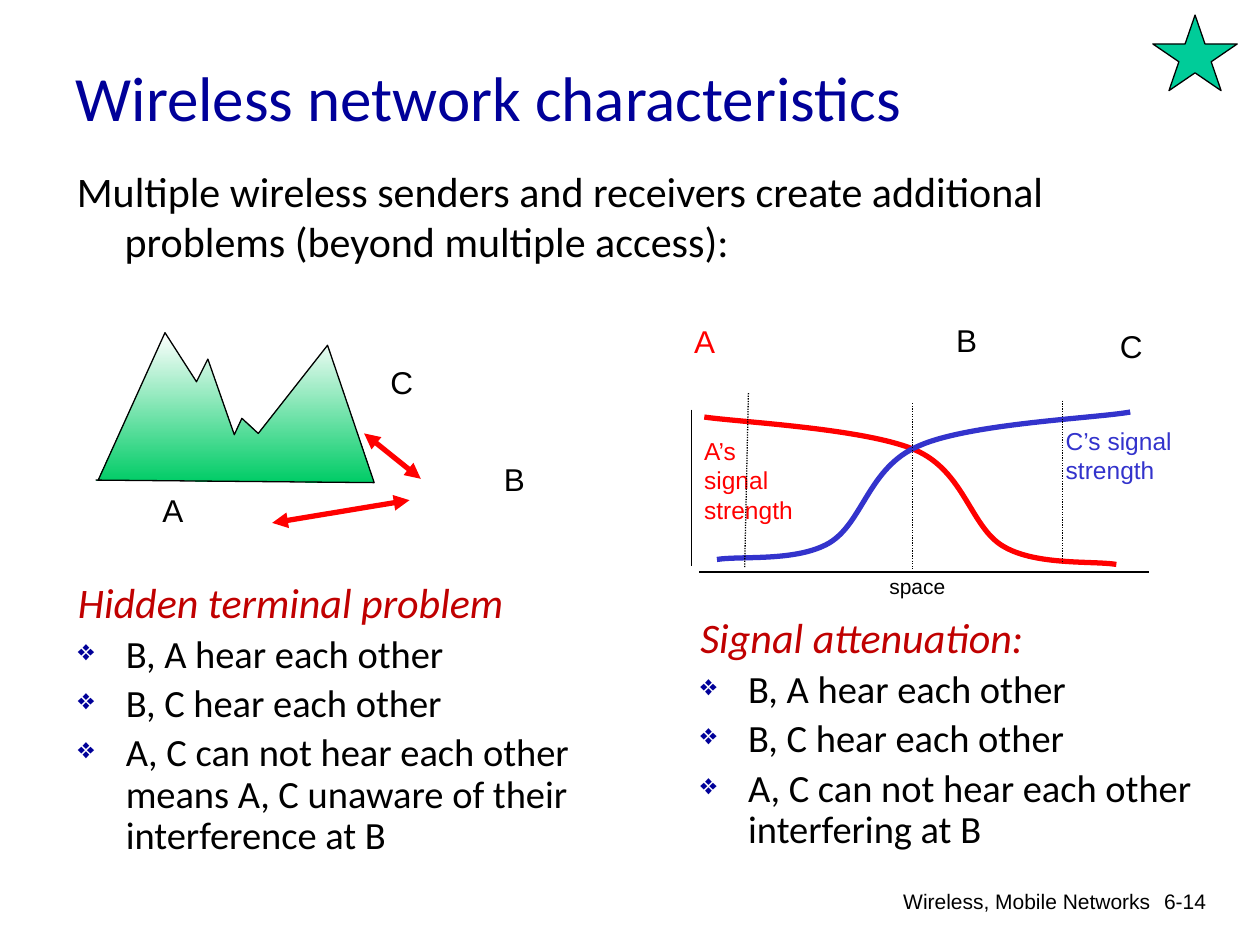
from dataclasses import dataclass

from lxml import etree
from pptx import Presentation
from pptx import util as u
from pptx.dml.color import RGBColor
from pptx.enum import dml, shapes, text
from pptx.oxml.ns import qn


@dataclass(frozen=True)
class Theme:
    heading_font: str = "Calibri"
    label_font: str = "Arial"
    black: str = "000000"
    white: str = "FFFFFF"
    navy: str = "000099"
    crimson: str = "C00000"
    red: str = "FF0000"
    blue: str = "3333CC"
    green: str = "00CC66"
    teal: str = "00CC99"
    title: int = 36
    lead: int = 24
    item: int = 22
    node: int = 18
    curve_label: int = 14
    small: int = 12
    thin: float = 0.75
    thick: float = 3
    indent: float = 0.38


THEME = Theme()


def rgb(value):
    return RGBColor.from_string(value)


def place(item, left, top, width, height):
    item.left, item.top = u.Inches(left), u.Inches(top)
    item.width, item.height = u.Inches(width), u.Inches(height)


def add_span(para, words, size, color, font, italic=False):
    span = para.add_run()
    span.text = words
    span.font.size = u.Pt(size)
    span.font.name = font
    span.font.italic = italic
    span.font.color.rgb = rgb(color)


def set_indent(para, bullet=None):
    props = para._p.get_or_add_pPr()
    props.set("marL", str(u.Inches(THEME.indent)))
    props.set("indent", str(-u.Inches(THEME.indent)))
    if bullet is None:
        etree.SubElement(props, qn("a:buNone"))
        return
    tint = etree.SubElement(props, qn("a:buClr"))
    etree.SubElement(tint, qn("a:srgbClr"), val=THEME.navy)
    etree.SubElement(props, qn("a:buSzPct"), val="75000")
    etree.SubElement(props, qn("a:buChar"), char=bullet)


def add_title(slide, words):
    box = slide.shapes.title
    place(box, 0.5, 0.14, 8.5, 1.25)
    box.text_frame.auto_size = text.MSO_AUTO_SIZE.NONE
    box.text_frame.vertical_anchor = text.MSO_ANCHOR.MIDDLE
    para = box.text_frame.paragraphs[0]
    para.alignment = text.PP_ALIGN.LEFT
    add_span(para, words, THEME.title, THEME.navy, THEME.heading_font)


def add_lead(slide, words):
    box = slide.placeholders[1]
    place(box, 0.51, 1.26, 8.5, 1.22)
    box.text_frame.auto_size = text.MSO_AUTO_SIZE.NONE
    para = box.text_frame.paragraphs[0]
    set_indent(para)
    para.space_before = u.Pt(0)
    add_span(para, words, THEME.lead, THEME.black, THEME.heading_font)


def add_label(slide, lines, left, top, width, height, size, color=THEME.black,
              align=text.PP_ALIGN.LEFT, wrap=False):
    box = slide.shapes.add_textbox(0, 0, 0, 0)
    place(box, left, top, width, height)
    frame = box.text_frame
    frame.word_wrap = wrap
    for number, line in enumerate(lines):
        para = frame.add_paragraph() if number else frame.paragraphs[0]
        para.alignment = align
        add_span(para, line, size, color, THEME.label_font)


def add_problem(slide, heading, items, left, top, height):
    box = slide.shapes.add_textbox(0, 0, 0, 0)
    place(box, left, top, 4.54, height)
    frame = box.text_frame
    frame.word_wrap = True
    para = frame.paragraphs[0]
    set_indent(para)
    para.line_spacing = 0.9
    add_span(para, heading, THEME.lead, THEME.crimson, THEME.heading_font, True)
    for item in items:
        para = frame.add_paragraph()
        set_indent(para, "❖")
        para.line_spacing = 0.9
        para.space_before = u.Pt(THEME.item * 0.2)
        add_span(para, item, THEME.item, THEME.black, THEME.heading_font)


def add_line(slide, start, end, color=THEME.black, width=THEME.thin,
             dotted=False, arrows=False):
    line = slide.shapes.add_connector(
        shapes.MSO_CONNECTOR.STRAIGHT, *map(u.Inches, start + end))
    line.line.color.rgb = rgb(color)
    line.line.width = u.Pt(width)
    if dotted:
        line.line.dash_style = dml.MSO_LINE.ROUND_DOT
    props = line._element.spPr
    if arrows:
        for tip in ("a:headEnd", "a:tailEnd"):
            etree.SubElement(props.find(qn("a:ln")), qn(tip), type="triangle")
    etree.SubElement(props, qn("a:effectLst"))


def add_outline(slide, points, color, width):
    corners = [(u.Inches(x), u.Inches(y)) for x, y in points]
    builder = slide.shapes.build_freeform(*corners[0])
    builder.add_line_segments(corners[1:], close=False)
    outline = builder.convert_to_shape()
    outline.shadow.inherit = False
    outline.line.color.rgb = rgb(color)
    outline.line.width = u.Pt(width)
    return outline


def add_mountains(slide):
    points = [(0.78, 3.81), (1.31, 2.64), (1.56, 3.03), (1.65, 2.85),
              (1.86, 3.45), (1.92, 3.32), (2.05, 3.44), (2.6, 2.74),
              (2.97, 3.83), (0.76, 3.81)]
    mountains = add_outline(slide, points, THEME.black, THEME.thin)
    mountains.fill.gradient()
    mountains.fill.gradient_angle = 270
    for stop, color in zip(mountains.fill.gradient_stops, (THEME.white, THEME.green)):
        stop.color.rgb = rgb(color)


def add_curve(slide, points, color):
    curve = add_outline(slide, points, color, THEME.thick)
    curve.fill.background()
    path = next(curve._element.iter(qn("a:path")))
    segments = path.findall(qn("a:lnTo"))
    for first in range(0, len(segments), 3):
        bezier = etree.SubElement(path, qn("a:cubicBezTo"))
        for segment in segments[first:first + 3]:
            bezier.append(segment[0])
            path.remove(segment)


def add_star(slide):
    star = slide.shapes.add_shape(shapes.MSO_SHAPE.STAR_5_POINT, 0, 0, 0, 0)
    place(star, 9.15, 0.12, 0.67, 0.6)
    star.shadow.inherit = False
    star.fill.solid()
    star.fill.fore_color.rgb = rgb(THEME.teal)
    star.line.color.rgb = rgb(THEME.black)
    star.line.width = u.Pt(THEME.thin)


def add_terminal_diagram(slide):
    add_mountains(slide)
    for start, end in (((2.16, 4.15), (3.25, 3.97)), ((2.89, 3.44), (3.34, 3.8))):
        add_line(slide, start, end, THEME.red, THEME.thick, arrows=True)
    for name, left, top in (("A", 1.19, 3.85), ("B", 3.9, 3.6), ("C", 3, 2.83)):
        add_label(slide, [name], left, top, 0.38, 0.4, THEME.node)


def add_signal_diagram(slide):
    for name, left, top, color in (("A", 5.41, 2.51, THEME.red),
                                   ("B", 7.49, 2.5, THEME.black),
                                   ("C", 8.79, 2.55, THEME.black)):
        add_label(slide, [name], left, top, 0.38, 0.4, THEME.node, color)
    add_label(slide, ["A’s signal", "strength"], 5.49, 3.41, 1, 0.57,
              THEME.curve_label, THEME.red, wrap=True)
    add_line(slide, (5.55, 4.54), (9.12, 4.54))
    add_line(slide, (5.49, 3.25), (5.49, 4.49))
    add_curve(slide, [(5.59, 3.31), (5.86, 3.35), (6.86, 3.4), (7.26, 3.57),
                      (7.66, 3.74), (7.7, 4.19), (7.97, 4.34),
                      (8.23, 4.49), (8.68, 4.45), (8.86, 4.48)], THEME.red)
    add_label(slide, ["space"], 6.96, 4.5, 0.65, 0.3, THEME.small)
    add_curve(slide, [(8.97, 3.27), (8.69, 3.32), (7.69, 3.36), (7.29, 3.54),
                      (6.89, 3.71), (6.85, 4.15), (6.58, 4.31),
                      (6.32, 4.46), (5.88, 4.41), (5.69, 4.44)], THEME.blue)
    add_label(slide, ["C’s signal", "strength"], 8.36, 3.33, 1.05, 0.57,
              THEME.curve_label, THEME.blue)
    for start, end in (((5.94, 3.12), (5.91, 4.51)), ((7.24, 3.2), (7.24, 4.52)),
                       ((8.43, 3.18), (8.43, 4.47))):
        add_line(slide, start, end, dotted=True)


def main():
    deck = Presentation()
    deck.slide_width, deck.slide_height = u.Inches(10), u.Inches(7.5)
    page = deck.slides.add_slide(deck.slide_layouts[1])
    for words, left, width in (("Wireless, Mobile Networks", 5.01, 4.22),
                               ("6-14", 8.93, 0.74)):
        add_label(page, [words], left, 7, width, 0.35, THEME.small,
                  align=text.PP_ALIGN.RIGHT, wrap=True)
    add_title(page, "Wireless network characteristics")
    add_lead(page, "Multiple wireless senders and receivers create additional "
                   "problems (beyond multiple access):")
    add_terminal_diagram(page)
    heard = ["B, A hear each other", "B, C hear each other"]
    unheard = "A, C can not hear each other "
    add_problem(page, "Hidden terminal problem",
                heard + [unheard + "means A, C unaware of their interference at B"],
                0.52, 4.57, 2.45)
    add_signal_diagram(page)
    add_problem(page, "Signal attenuation:", heard + [unheard + "interfering at B"],
                5.46, 4.85, 1.46)
    add_star(page)
    deck.save("out.pptx")


if __name__ == "__main__":
    main()
